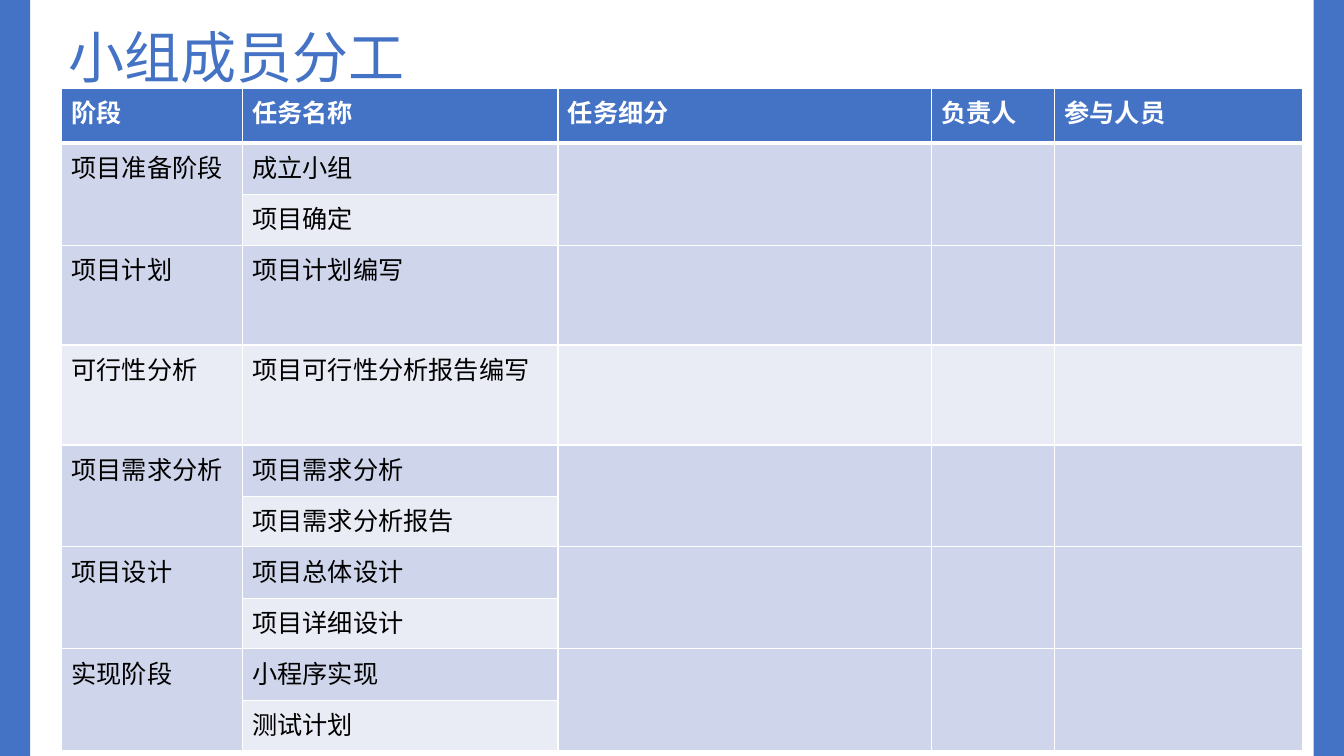
from lxml.etree import SubElement
from pptx import Presentation
from pptx.dml.color import RGBColor
from pptx.enum.shapes import MSO_SHAPE as Shape
from pptx.enum.text import MSO_ANCHOR as Anchor, MSO_AUTO_SIZE as AutoSize, PP_ALIGN as Align
from pptx.oxml.ns import qn
from pptx.util import Inches, Pt

BLUE = RGBColor(0x44, 0x72, 0xC4)
DARK_BAND = RGBColor(0xCF, 0xD5, 0xEA)
LIGHT_BAND = RGBColor(0xE9, 0xEB, 0xF5)
WHITE = RGBColor(0xFF, 0xFF, 0xFF)
BLACK = RGBColor(0, 0, 0)
FONT = "Noto Sans CJK SC"

WIDTH, HEIGHT = 13.33, 7.5
BAR_WIDTH = 0.3
TITLE_BOX = (0.58, 0.17, 4.05, 0.77)
TABLE_BOX = (0.61, 0.88, 12.31, 6.57)
COLUMN_WEIGHTS = (1.79, 3.13, 3.7, 1.22, 2.46)
HEADER_WEIGHT, SINGLE_WEIGHT, PAIR_WEIGHTS = 0.54, 0.99, (0.51, 0.5)

TITLE_FORMAT = {"name": FONT, "size": Pt(40), "bold": False}
HEADER_FORMAT = {"name": FONT, "size": Pt(18), "bold": True}
BODY_FORMAT = {**HEADER_FORMAT, "bold": False}

HEADERS = ("阶段", "任务名称", "任务细分", "负责人", "参与人员")
PHASES = (
    ("项目准备阶段", ("成立小组", "项目确定")),
    ("项目计划", ("项目计划编写",)),
    ("可行性分析", ("项目可行性分析报告编写",)),
    ("项目需求分析", ("项目需求分析", "项目需求分析报告")),
    ("项目设计", ("项目总体设计", "项目详细设计")),
    ("实现阶段", ("小程序实现", "测试计划")),
)


def write_text(text_frame, text, font_format, color):
    run = text_frame.paragraphs[0].add_run()
    run.text = text
    for name, value in font_format.items():
        setattr(run.font, name, value)
    run.font.color.rgb = color
    SubElement(run.font._element, qn("a:ea"), typeface=FONT)


def set_borders(cell, bottom_width):
    properties = cell._tc.get_or_add_tcPr()
    for side, width in (("L", 1), ("R", 1), ("T", 1), ("B", bottom_width)):
        line = SubElement(properties, qn(f"a:ln{side}"), w=str(Pt(width)))
        fill = SubElement(line, qn("a:solidFill"))
        SubElement(fill, qn("a:srgbClr"), val=str(WHITE))


def style_cell(cell, fill_color, bottom_width=1):
    set_borders(cell, bottom_width)
    cell.fill.solid()
    cell.fill.fore_color.rgb = fill_color


def add_side_bar(slide, box):
    bar = slide.shapes.add_shape(Shape.RECTANGLE, *map(Inches, box))
    bar.shadow.inherit = False
    bar.fill.solid()
    bar.fill.fore_color.rgb = BLUE
    bar.line.fill.background()


def add_title(slide, box):
    title = slide.shapes.title
    for name, value in zip(("left", "top", "width", "height"), box):
        setattr(title, name, Inches(value))
    frame_format = {
        "word_wrap": False,
        "auto_size": AutoSize.SHAPE_TO_FIT_TEXT,
        "vertical_anchor": Anchor.TOP,
    }
    for name, value in frame_format.items():
        setattr(title.text_frame, name, value)
    title.text_frame.paragraphs[0].alignment = Align.LEFT
    write_text(title.text_frame, "小组成员分工", TITLE_FORMAT, BLUE)


def add_task_table(slide, box):
    row_weights = [HEADER_WEIGHT]
    for _, tasks in PHASES:
        row_weights.extend(PAIR_WEIGHTS if len(tasks) == 2 else (SINGLE_WEIGHT,))
    table = slide.shapes.add_table(
        len(row_weights), len(HEADERS), *map(Inches, box)
    ).table
    for column, weight in zip(table.columns, COLUMN_WEIGHTS):
        column.width = Inches(box[2] * weight / sum(COLUMN_WEIGHTS))
    for row, weight in zip(table.rows, row_weights):
        row.height = Inches(box[3] * weight / sum(row_weights))

    for cell, header in zip(table.rows[0].cells, HEADERS):
        style_cell(cell, BLUE, bottom_width=3)
        write_text(cell.text_frame, header, HEADER_FORMAT, WHITE)

    first_row = 1
    for phase, tasks in PHASES:
        last_row = first_row + len(tasks) - 1
        for row_index, task in enumerate(tasks, first_row):
            band = DARK_BAND if row_index % 2 else LIGHT_BAND
            for cell in table.rows[row_index].cells:
                style_cell(cell, band)
            write_text(table.cell(row_index, 1).text_frame, task, BODY_FORMAT, BLACK)
        write_text(table.cell(first_row, 0).text_frame, phase, BODY_FORMAT, BLACK)
        if last_row > first_row:
            for column_index in (0, 2, 3, 4):
                table.cell(first_row, column_index).merge(
                    table.cell(last_row, column_index)
                )
        first_row = last_row + 1


def main():
    presentation = Presentation()
    presentation.slide_width = Inches(WIDTH)
    presentation.slide_height = Inches(HEIGHT)
    slide = presentation.slides.add_slide(presentation.slide_layouts[5])
    for left in (0, WIDTH - BAR_WIDTH):
        add_side_bar(slide, (left, 0, BAR_WIDTH, HEIGHT))
    add_title(slide, TITLE_BOX)
    add_task_table(slide, TABLE_BOX)
    presentation.save("out.pptx")


if __name__ == "__main__":
    main()
